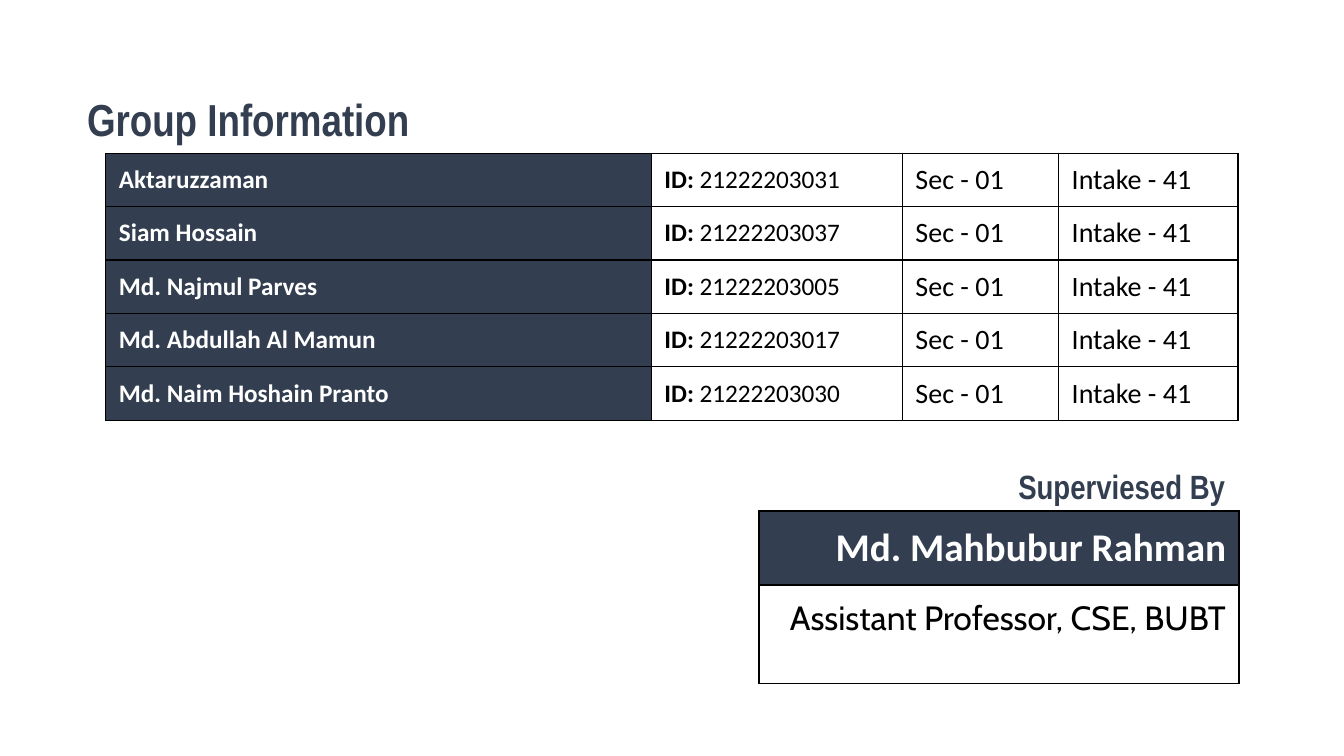
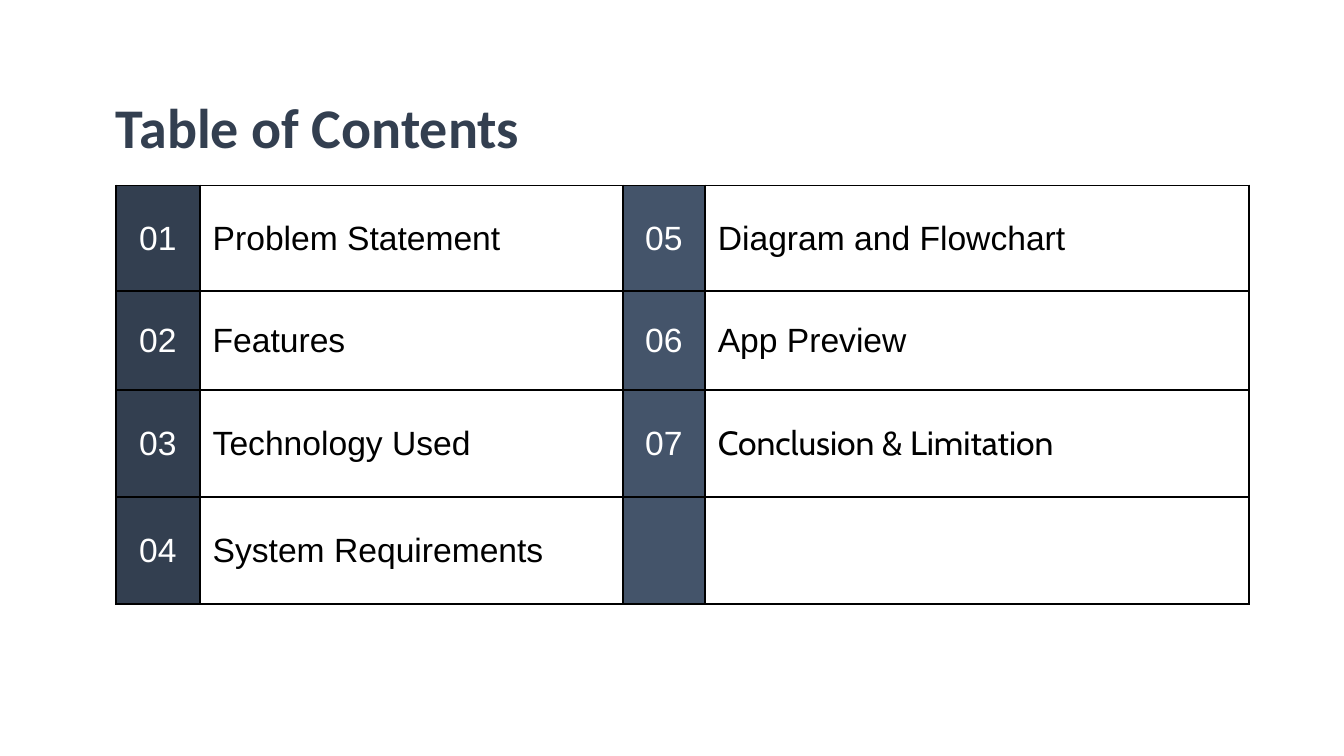
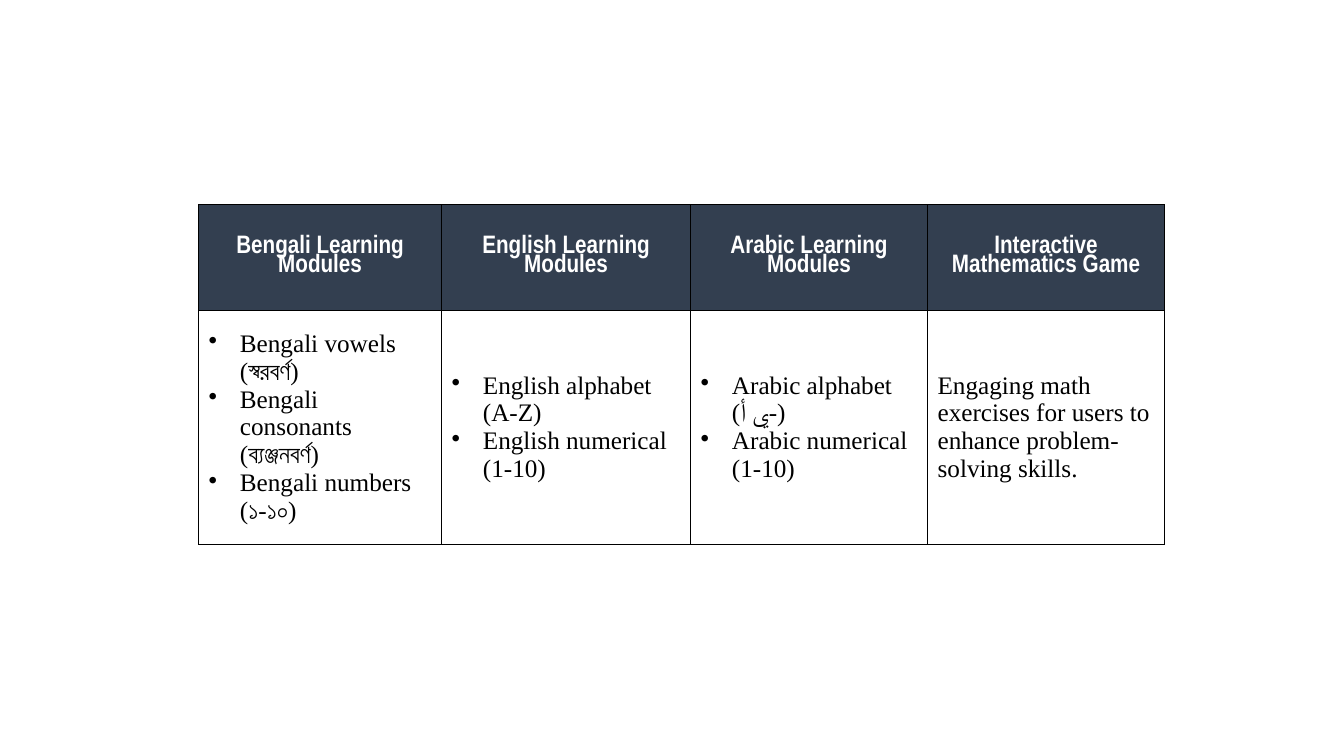
from pptx import Presentation
from pptx.dml.color import RGBColor
from pptx.enum.text import MSO_ANCHOR, PP_ALIGN
from pptx.oxml import parse_xml
from pptx.oxml.ns import nsdecls
from pptx.util import Inches, Pt

NAVY = RGBColor(0x33, 0x3F, 0x50)
SLATE = RGBColor(0x44, 0x54, 0x6A)
WHITE = RGBColor(0xFF, 0xFF, 0xFF)
BLACK = RGBColor(0x00, 0x00, 0x00)


def add_grid(slide, left, top, widths, heights, border, margin_x, margin_y, anchor=MSO_ANCHOR.MIDDLE):
    table = slide.shapes.add_table(
        len(heights), len(widths), Inches(left), Inches(top), Inches(sum(widths)), Inches(sum(heights))
    ).table
    table.first_row = table.horz_banding = False
    for column, width in zip(table.columns, widths):
        column.width = Inches(width)
    for row, height in zip(table.rows, heights):
        row.height = Inches(height)
    for cell in table.iter_cells():
        cell.margin_left = cell.margin_right = Inches(margin_x)
        cell.margin_top = cell.margin_bottom = Inches(margin_y)
        cell.vertical_anchor = anchor
        cell.fill.background()
        properties = cell._tc.get_or_add_tcPr()
        for position, side in enumerate(("lnL", "lnR", "lnT", "lnB")):
            properties.insert(position, parse_xml(
                f'<a:{side} {nsdecls("a")} w="{Pt(border)}"><a:solidFill>'
                f'<a:srgbClr val="{BLACK}"/></a:solidFill></a:{side}>'
            ))
    return table


def write(target, text, size, font, color=BLACK, bold=False, align=PP_ALIGN.LEFT, spacing=1.0, fill=None):
    if fill is not None:
        target.fill.solid()
        target.fill.fore_color.rgb = fill
    target.text_frame.text = text
    for paragraph in target.text_frame.paragraphs:
        paragraph.alignment = align
        paragraph.line_spacing = spacing
        paragraph.font.size = Pt(size)
        paragraph.font.name = font
        paragraph.font.bold = bold
        paragraph.font.color.rgb = color
    return target.text_frame.paragraphs


presentation = Presentation()
presentation.slide_width = Inches(13.33)
presentation.slide_height = Inches(7.5)
blank = presentation.slide_layouts[6]
group_slide, contents_slide, modules_slide = [presentation.slides.add_slide(blank) for _ in range(3)]

titles = [
    (group_slide, "Group Information", 0.65, 0.84, 3.63, 0.77, 32, "Arial Narrow", PP_ALIGN.CENTER),
    (group_slide, "Superviesed By", 8.36, 4.54, 3.92, 0.77, 24, "Arial Narrow", PP_ALIGN.RIGHT),
    (contents_slide, "Table of Contents", 1.02, 0.86, 11.25, 0.97, 40, "Calibri", PP_ALIGN.LEFT),
]
for slide, text, left, top, width, height, size, font, align in titles:
    shape = slide.shapes.add_textbox(Inches(left), Inches(top), Inches(width), Inches(height))
    frame = shape.text_frame
    frame.word_wrap = True
    frame.margin_left = frame.margin_right = frame.margin_top = frame.margin_bottom = Inches(0.13)
    write(shape, text, size, font, NAVY, True, align, 0.9)

members = [
    ("Aktaruzzaman", "21222203031"),
    ("Siam Hossain", "21222203037"),
    ("Md. Najmul Parves", "21222203005"),
    ("Md. Abdullah Al Mamun", "21222203017"),
    ("Md. Naim Hoshain Pranto", "21222203030"),
]
member_table = add_grid(group_slide, 1.05, 1.52, [5.41, 2.49, 1.55, 1.78], [0.53] * len(members), 1, 0.13, 0)
for row, (name, number) in enumerate(members):
    write(member_table.cell(row, 0), name, 18, "Calibri", WHITE, True, fill=NAVY)
    paragraph = write(member_table.cell(row, 1), "ID: ", 18, "Calibri")[0]
    paragraph.runs[0].font.bold = True
    paragraph.add_run().text = number
    write(member_table.cell(row, 2), "Sec - 01", 20, "Calibri")
    write(member_table.cell(row, 3), "Intake - 41", 20, "Calibri")

supervisor_table = add_grid(group_slide, 7.53, 5.07, [4.76], [0.73, 0.98], 1.5, 0.13, 0.13, MSO_ANCHOR.TOP)
write(supervisor_table.cell(0, 0), "Md. Mahbubur Rahman", 28, "Calibri", WHITE, True, PP_ALIGN.RIGHT, fill=NAVY)
write(supervisor_table.cell(1, 0), "Assistant Professor, CSE, BUBT", 24, "Cabin", align=PP_ALIGN.RIGHT)

topics = [
    "Problem Statement", "Features", "Technology Used", "System Requirements",
    "Diagram and Flowchart", "App Preview", "Conclusion & Limitation", "",
]
contents_table = add_grid(contents_slide, 1.15, 1.84, [0.83, 4.2, 0.81, 5.4], [1.05, 0.98, 1.06, 1.06], 1.5, 0.13, 0)
for index, topic in enumerate(topics):
    half, row = divmod(index, 4)
    number = f"{index + 1:02}" if topic else ""
    font = "Cabin" if topic.startswith("Conclusion") else "Arial"
    write(contents_table.cell(row, 2 * half), number, 24, "Arial", WHITE,
          align=PP_ALIGN.CENTER, fill=(NAVY, SLATE)[half])
    write(contents_table.cell(row, 2 * half + 1), topic, 24, font)

modules = [
    ("Bengali Learning Modules",
     ["Bengali vowels (স্বরবর্ণ)", "Bengali consonants (ব্যঞ্জনবর্ণ)", "Bengali numbers (১-১০)"]),
    ("English Learning Modules", ["English alphabet (A-Z)", "English numerical (1-10)"]),
    ("Arabic Learning Modules", ["Arabic alphabet (ي أ-)", "Arabic numerical (1-10)"]),
    ("Interactive Mathematics Game",
     ["Engaging math exercises for users to enhance problem-solving skills."]),
]
module_table = add_grid(modules_slide, 1.97, 2.03, [2.41, 2.47, 2.35, 2.35], [1.05, 2.32], 1, 0.1, 0.1)
for column, (heading, items) in enumerate(modules):
    write(module_table.cell(0, column), heading, 18, "Arial Narrow", WHITE, True, PP_ALIGN.CENTER, 0.8, NAVY)
    paragraphs = write(module_table.cell(1, column), "\n".join(items), 18, "Times New Roman")
    if len(items) > 1:
        for paragraph in paragraphs:
            properties = paragraph._p.get_or_add_pPr()
            properties.set("marL", str(Inches(0.31)))
            properties.set("indent", str(-Inches(0.31)))
            bullet = parse_xml(f'<a:buChar {nsdecls("a")} char="•"/>')
            properties.insert_element_before(bullet, "a:tabLst", "a:defRPr", "a:extLst")

presentation.save("out.pptx")
